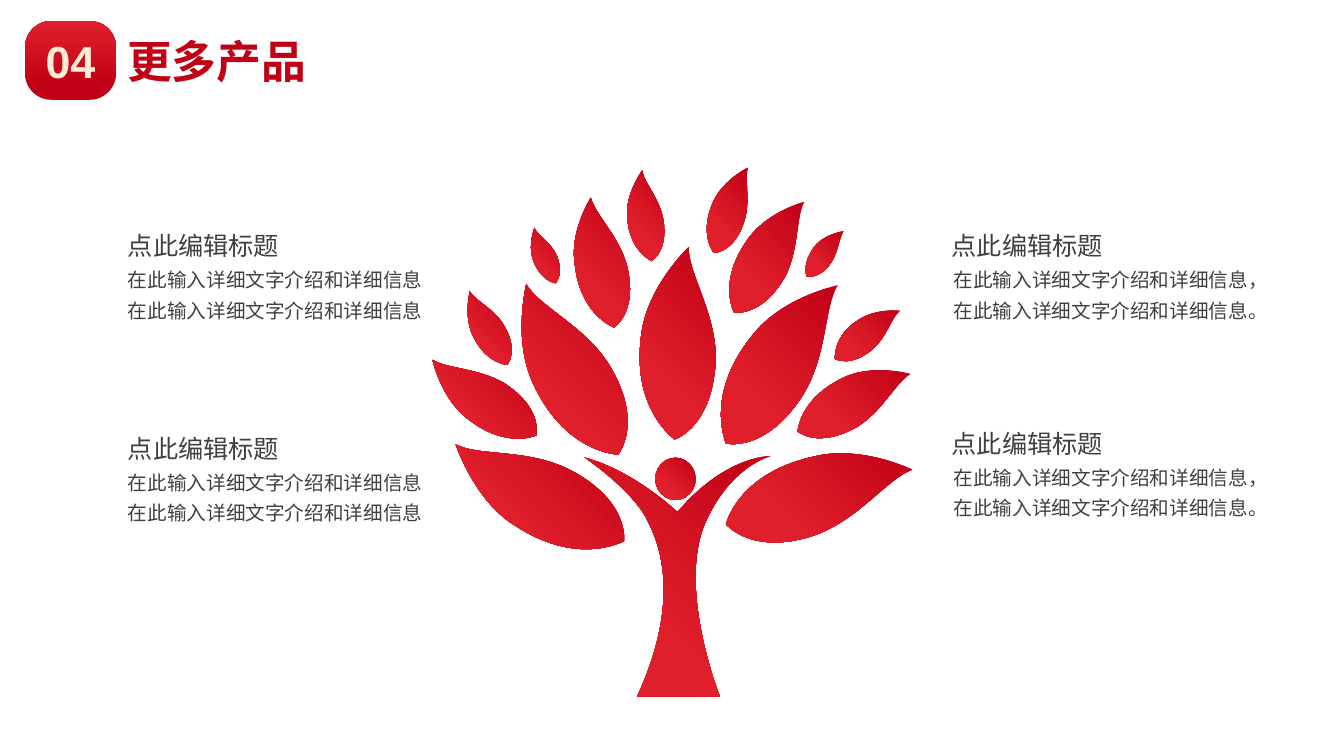
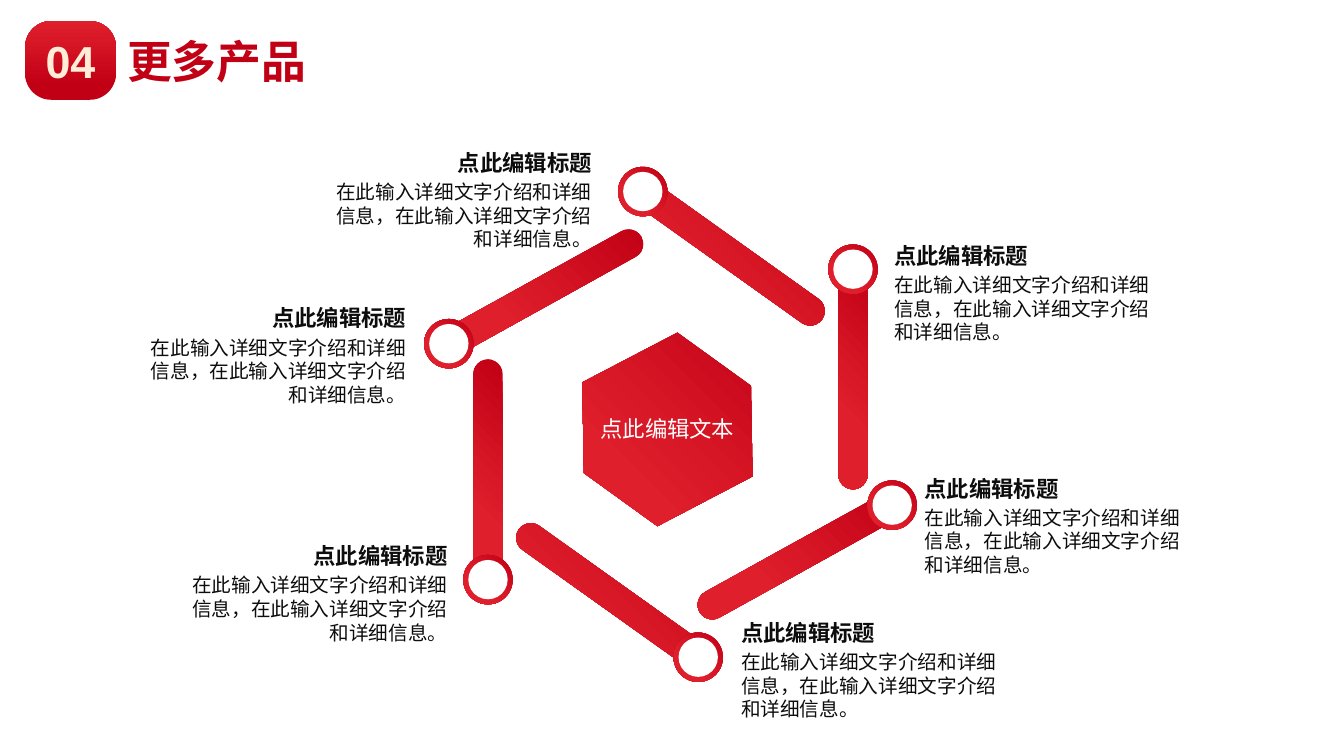
from math import cos, radians, sin

from pptx import Presentation
from pptx.dml.color import RGBColor
from pptx.enum.shapes import MSO_SHAPE
from pptx.enum.text import MSO_ANCHOR, MSO_AUTO_SIZE, PP_ALIGN
from pptx.oxml.ns import qn
from pptx.oxml.xmlchemy import OxmlElement
from pptx.util import Pt

EMU_PER_PX = 9144  # 100 px to the inch
SLIDE_SIZE = (1333, 750)
TITLE_ONLY = 5

DEEP_RED = RGBColor(0xC1, 0x00, 0x15)
BRIGHT_RED = RGBColor(0xE0, 0x1F, 0x2D)
CREAM = RGBColor(0xFF, 0xED, 0xD7)
WHITE = RGBColor(0xFF, 0xFF, 0xFF)
GREY = RGBColor(0x40, 0x40, 0x40)
NEAR_BLACK = RGBColor(0x0D, 0x0D, 0x0D)
FONT = "Arial"

ROUNDED, OVAL, HEXAGON = MSO_SHAPE.ROUNDED_RECTANGLE, MSO_SHAPE.OVAL, MSO_SHAPE.HEXAGON
LEFT, CENTER, RIGHT = PP_ALIGN.LEFT, PP_ALIGN.CENTER, PP_ALIGN.RIGHT
TOP, MIDDLE = MSO_ANCHOR.TOP, MSO_ANCHOR.MIDDLE
NO_FIT = MSO_AUTO_SIZE.NONE

SECTION = ("04", "更多产品")
HEADING = "点此编辑标题"
DETAIL = "在此输入详细文字介绍和详细信息"

# One leaf, as (along, across) shares of its base-to-tip line
BASE, TIP = (0, 0), (1, 0)
NEAR, FAR = (0.53, 0.21), (0.44, -0.18)
LEAF = [
    NEAR,
    (0.78, 0.2), TIP, TIP,
    (0.86, -0.01), (0.68, -0.16), FAR,
    (0.08, -0.2), BASE, BASE,
    (0.06, 0.09), (0.22, 0.23), NEAR,
]
# Base x, y and tip x, y of every leaf, from the corner of the tree
LEAVES = [
    (320, 420, 505, 366), (219, 437, 52, 341), (391, 328, 503, 271),
    (132, 332, 29, 257), (246, 159, 237, 69), (151, 181, 130, 126),
    (400, 174, 437, 129), (308, 151, 342, 66), (213, 351, 122, 182),
    (209, 225, 186, 96), (328, 210, 398, 100), (320, 340, 431, 183),
    (103, 262, 66, 189), (428, 256, 493, 208), (269, 336, 283, 145),
]
# Corners of the trunk
LEFT_HAND, RIGHT_HAND, NOTCH = (180, 354), (367, 352), (272, 408)
LEFT_FOOT, RIGHT_FOOT = (232, 591), (314, 591)
LEFT_WAIST, RIGHT_WAIST = (243, 418), (299, 420)
TRUNK = [
    LEFT_HAND,
    LEFT_HAND, (229, 387), LEFT_WAIST,
    (272, 475), (255, 541), LEFT_FOOT,
    RIGHT_FOOT, RIGHT_FOOT, RIGHT_FOOT,
    RIGHT_FOOT, (272, 485), RIGHT_WAIST,
    (325, 360), RIGHT_HAND, RIGHT_HAND,
    RIGHT_HAND, (321, 350), NOTCH,
    NOTCH, (229, 367), LEFT_HAND,
]

# Opposite arms of the ring, from its centre: bar x, y and turn,
# then edge and top of the right-hand label and of the left-hand one
ARM_PAIRS = [
    (128, 131, 61, (252, 50), (-262, -119)),
    (181, -49, 0, (222, -181), (-221, 117)),
    (-58, 170, 125.5, (70, 193), (-78, -273)),
]
BAR_SIZE = (29, 227)
NODE_REACH = 105
LABEL_WIDTH = 271


def px(length):
    return round(length * EMU_PER_PX)


def paint_gradient(shape, direction=135, start=0, end=0.69):
    """Fill from deep to bright red; direction is in clockwise degrees."""
    shape.fill.gradient()
    shape.fill.gradient_angle = 360 - direction
    for stop, position, color in zip(shape.fill.gradient_stops,
                                     (start, end), (DEEP_RED, BRIGHT_RED)):
        stop.position = position
        stop.color.rgb = color
    shape._element.spPr.find(qn("a:gradFill")).set("rotWithShape", "0")


def clear_outline(shape):
    shape.line.fill.background()
    shape.shadow.inherit = False


def add_preset(slide, kind, left, top, width, height, turn=0):
    shape = slide.shapes.add_shape(kind, px(left), px(top), px(width), px(height))
    shape.rotation = turn
    clear_outline(shape)
    return shape


def add_centred(slide, kind, x, y, size, turn=0):
    width, height = size
    return add_preset(slide, kind, x - width / 2, y - height / 2, width, height, turn)


def write(paragraph, text, size, color, bold=False, align=LEFT):
    paragraph.text = text
    paragraph.alignment = align
    paragraph.font.name = FONT
    paragraph.font.size = Pt(size)
    paragraph.font.bold = bold
    paragraph.font.color.rgb = color


def add_text_frame(slide, left, top, width, height, margin=None):
    box = slide.shapes.add_textbox(px(left), px(top), px(width), px(height))
    frame = box.text_frame
    frame.word_wrap = True
    if margin is not None:
        frame.margin_left = frame.margin_right = px(margin)
        frame.margin_top = frame.margin_bottom = px(margin)
    return frame


def add_section_slide(prs):
    """New slide with the section badge and title."""
    slide = prs.slides.add_slide(prs.slide_layouts[TITLE_ONLY])
    number, name = SECTION

    badge = add_preset(slide, ROUNDED, 25, 21, 90, 78)
    badge.adjustments[0] = 0.33
    paint_gradient(badge, direction=270, start=0.17, end=1)
    badge.text_frame.vertical_anchor = MIDDLE
    write(badge.text_frame.paragraphs[0], number, 32, CREAM, True, CENTER)

    title = slide.shapes.title
    title.left, title.top, title.width, title.height = map(px, (116, 28, 240, 64))
    title.text_frame.vertical_anchor = TOP
    title.text_frame.auto_size = NO_FIT
    write(title.text_frame.paragraphs[0], name, 32, DEEP_RED, True)
    return slide


def add_curved_outline(slide, left, top, points):
    """Closed outline; after the start, every three points make one curve."""
    builder = slide.shapes.build_freeform(*points[0], scale=EMU_PER_PX)
    builder.add_line_segments(points[1:], close=True)
    outline = builder.convert_to_shape(px(left), px(top))

    outline_path = outline._element.find(".//" + qn("a:path"))
    segments = outline_path.findall(qn("a:lnTo"))
    for first in range(0, len(segments), 3):
        curve = OxmlElement("a:cubicBezTo")
        segments[first].addprevious(curve)
        for segment in segments[first:first + 3]:
            curve.append(segment[0])
            outline_path.remove(segment)

    paint_gradient(outline)
    clear_outline(outline)


def leaf_outline(base_x, base_y, tip_x, tip_y):
    """The leaf, turned and scaled to run from base to tip."""
    run, rise = tip_x - base_x, tip_y - base_y
    return [(round(base_x + along * run + across * rise),
             round(base_y + along * rise - across * run))
            for along, across in LEAF]


def add_tree(slide, left, top):
    add_curved_outline(slide, left, top, TRUNK)
    paint_gradient(add_preset(slide, OVAL, left + 250, top + 354, 40, 42))
    for leaf in LEAVES:
        add_curved_outline(slide, left, top, leaf_outline(*leaf))


def add_tree_note(slide, left, top, endings, align):
    """Heading with one line of detail for each ending mark."""
    frame = add_text_frame(slide, left, top, 316, 111)
    write(frame.paragraphs[0], HEADING, 18, GREY)
    for ending in endings:
        write(frame.add_paragraph(), DETAIL + ending, 14, GREY, align=align)
    for paragraph in frame.paragraphs:
        paragraph.line_spacing = 1.3


def add_arm(slide, x, y, turn):
    """Bar with a ringed node at its turned upper end."""
    bar = add_centred(slide, ROUNDED, x, y, BAR_SIZE, turn)
    bar.adjustments[0] = 0.5
    paint_gradient(bar)

    node_x = x + NODE_REACH * sin(radians(turn))
    node_y = y - NODE_REACH * cos(radians(turn))
    paint_gradient(add_centred(slide, OVAL, node_x, node_y, (49, 49)))
    hole = add_centred(slide, OVAL, node_x, node_y, (39, 39))
    hole.fill.solid()
    hole.fill.fore_color.rgb = WHITE


def add_arm_label(slide, left, top, align):
    frame = add_text_frame(slide, left, top, LABEL_WIDTH, 102, margin=0)
    write(frame.paragraphs[0], HEADING, 16, NEAR_BLACK, True, align)
    detail = frame.add_paragraph()
    write(detail, f"{DETAIL}，{DETAIL}。", 14, NEAR_BLACK, align=align)
    detail.space_before = Pt(3)


def add_hexagon_ring(slide, x, y):
    """Six arms and their labels around a core centred on x, y."""
    for bar_x, bar_y, turn, right_label, left_label in ARM_PAIRS:
        add_arm(slide, x + bar_x, y + bar_y, turn)
        add_arm(slide, x - bar_x, y - bar_y, turn + 180)
        edge, top = right_label
        add_arm_label(slide, x + edge, y + top, LEFT)
        edge, top = left_label
        add_arm_label(slide, x + edge - LABEL_WIDTH, y + top, RIGHT)

    # Core
    paint_gradient(add_centred(slide, HEXAGON, x - 3, y + 5, (187, 161), 332.4))
    core = add_text_frame(slide, x - 91, y - 14, 176, 37)
    write(core.paragraphs[0], "点此编辑文本", 16, WHITE, align=CENTER)


def build_tree_slide(prs):
    slide = add_section_slide(prs)
    add_tree(slide, 400, 100)
    for left, tops, endings, align in [
        (934, (215, 411), "，。", CENTER),
        (117, (215, 416), ("", ""), LEFT),
    ]:
        for top in tops:
            add_tree_note(slide, left, top, endings, align)


def build_ring_slide(prs):
    add_hexagon_ring(add_section_slide(prs), 665, 421)


def main():
    prs = Presentation()
    prs.slide_width, prs.slide_height = map(px, SLIDE_SIZE)
    build_tree_slide(prs)
    build_ring_slide(prs)
    prs.save("out.pptx")


if __name__ == "__main__":
    main()
